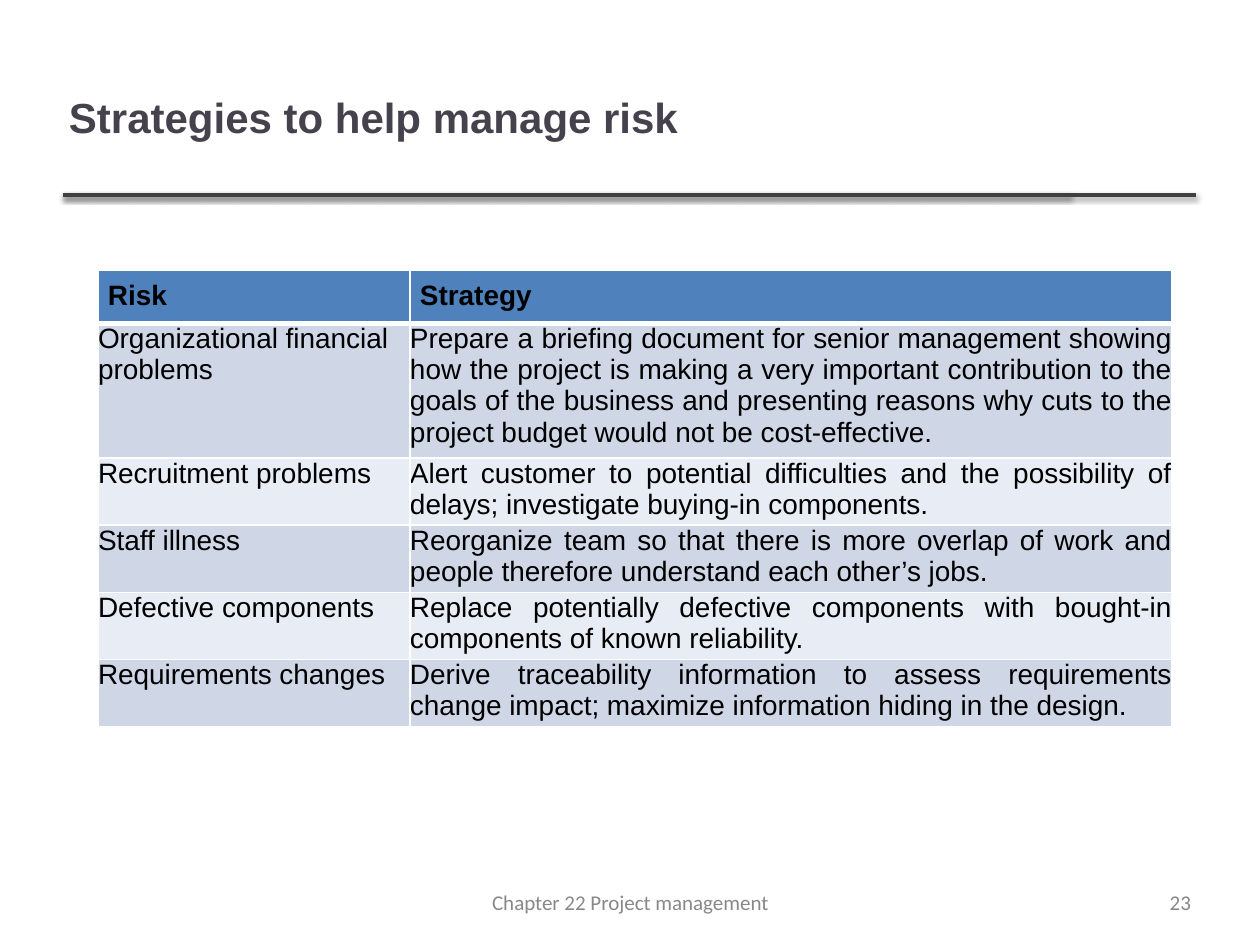
"""Build the slide on strategies that help manage project risk."""

from dataclasses import dataclass

import lxml.etree
import pptx
import pptx.dml.color
import pptx.enum.shapes
import pptx.enum.text
import pptx.oxml.ns
import pptx.util

EMU_PER_PX = 914400 / 126
ALIGN = pptx.enum.text.PP_ALIGN
ANCHOR = pptx.enum.text.MSO_ANCHOR
COLORS = {
    "title": "46424D",
    "footer": "888888",
    "rule": "404040",
    "shadow": "000000",
    "text": "000000",
    "header": "4F81BD",
    "odd": "CFD7E7",
    "even": "E8ECF4",
    "border": "FFFFFF",
}
TITLE_FONT = {"name": "Arial", "size": pptx.util.Pt(24), "bold": True}
FOOTER_FONT = {"name": "Calibri", "size": pptx.util.Pt(12), "bold": False}
HEADER_FONT = {"name": "Arial", "size": pptx.util.Pt(16), "bold": True}
BODY_FONT = {**HEADER_FONT, "bold": False}


@dataclass
class Label:
    text: str
    left: int
    top: int
    width: int
    height: int
    font: dict
    color: str
    alignment: ALIGN
    wrap: bool = True


@dataclass
class Strategy:
    risk: str
    response: str


LABELS = [
    Label("Chapter 22 Project management", 437, 885, 387, 34, FOOTER_FONT, "footer", ALIGN.CENTER),
    Label("Strategies to help manage risk", 63, 38, 1005, 158, TITLE_FONT, "title", ALIGN.LEFT),
    Label("23", 1162, 885, 35, 34, FOOTER_FONT, "footer", ALIGN.RIGHT, wrap=False),
]
RULE_LEFT, RULE_TOP = 63, 195
RULE_ENDS = [1070, 1196]
TABLE_LEFT, TABLE_TOP = 98, 270
COLUMN_WIDTHS = [312, 762]
ROW_HEIGHT = 52
STRATEGIES = [
    Strategy("Risk", "Strategy"),
    Strategy(
        "Organizational financial problems",
        "Prepare a briefing document for senior management showing how the project is "
        "making a very important contribution to the goals of the business and presenting "
        "reasons why cuts to the project budget would not be cost-effective.",
    ),
    Strategy(
        "Recruitment problems",
        "Alert customer to potential difficulties and the possibility of delays; "
        "investigate buying-in components.",
    ),
    Strategy(
        "Staff illness",
        "Reorganize team so that there is more overlap of work and people therefore "
        "understand each other’s jobs.",
    ),
    Strategy(
        "Defective components",
        "Replace potentially defective components with bought-in components of known reliability.",
    ),
    Strategy(
        "Requirements changes",
        "Derive traceability information to assess requirements change impact; "
        "maximize information hiding in the design.",
    ),
]


def px(length: int) -> int:
    """Turn pixels into EMU."""
    return round(length * EMU_PER_PX)


def rgb(name: str) -> pptx.dml.color.RGBColor:
    """Look up a named colour."""
    return pptx.dml.color.RGBColor.from_string(COLORS[name])


def set_values(target, values: dict) -> None:
    """Set each named attribute on the target."""
    for name, value in values.items():
        setattr(target, name, value)


def add_element(parent, tag: str, **attributes: str):
    """Append a DrawingML element to its parent."""
    return lxml.etree.SubElement(parent, pptx.oxml.ns.qn(tag), attributes)


def write_text(text_frame, text: str, font: dict, color: str, alignment: ALIGN) -> None:
    """Write one formatted paragraph."""
    paragraph = text_frame.paragraphs[0]
    paragraph.alignment = alignment
    run = paragraph.add_run()
    run.text = text
    set_values(run.font, font)
    run.font.color.rgb = rgb(color)


def add_label(slide, label: Label) -> None:
    """Draw a text box anchored to its middle."""
    box = [px(length) for length in (label.left, label.top, label.width, label.height)]
    text_frame = slide.shapes.add_textbox(*box).text_frame
    margins = {f"margin_{side}": px(6) for side in ("left", "top", "right", "bottom")}
    set_values(text_frame, {**margins, "word_wrap": label.wrap, "vertical_anchor": ANCHOR.MIDDLE})
    write_text(text_frame, label.text, label.font, label.color, label.alignment)


def add_rule(slide, end: int) -> None:
    """Draw a horizontal rule with a soft shadow below it."""
    rule = slide.shapes.add_connector(
        pptx.enum.shapes.MSO_CONNECTOR.STRAIGHT,
        px(RULE_LEFT), px(RULE_TOP), px(end), px(RULE_TOP),
    )
    rule.line.color.rgb = rgb("rule")
    rule.line.width = pptx.util.Pt(2)
    effects = add_element(rule._element.spPr, "a:effectLst")
    shadow = add_element(
        effects, "a:outerShdw",
        blurRad=str(pptx.util.Pt(3)), dist=str(pptx.util.Pt(1.6)), dir="5400000", rotWithShape="0",
    )
    color = add_element(shadow, "a:srgbClr", val=COLORS["shadow"])
    add_element(color, "a:alpha", val="38000")


def format_cell(cell, fill: str, margin: int, border_widths: dict) -> None:
    """Set the margins, borders and fill of a table cell."""
    set_values(cell, {f"margin_{side}": px(margin) for side in ("left", "top", "right", "bottom")})
    properties = cell._tc.get_or_add_tcPr()
    for side, width in border_widths.items():
        border = add_element(properties, f"a:ln{side}", w=str(pptx.util.Pt(width)))
        solid = add_element(border, "a:solidFill")
        add_element(solid, "a:srgbClr", val=COLORS["border"])
    cell.fill.solid()
    cell.fill.fore_color.rgb = rgb(fill)


def add_strategy_table(slide) -> None:
    """Draw the table of risks and strategies."""
    table = slide.shapes.add_table(
        len(STRATEGIES), len(COLUMN_WIDTHS), px(TABLE_LEFT), px(TABLE_TOP),
        px(sum(COLUMN_WIDTHS)), px(ROW_HEIGHT * len(STRATEGIES)),
    ).table
    for column, width in zip(table.columns, COLUMN_WIDTHS):
        column.width = px(width)
    for index, strategy in enumerate(STRATEGIES):
        table.rows[index].height = px(ROW_HEIGHT)
        is_header = index == 0
        fill = "header" if is_header else "odd" if index % 2 else "even"
        borders = {"L": 1, "R": 1, "T": 3 if index == 1 else 1, "B": 3 if is_header else 1}
        risk_alignment = ALIGN.JUSTIFY if is_header else ALIGN.LEFT
        font = HEADER_FONT if is_header else BODY_FONT
        entries = [(strategy.risk, risk_alignment), (strategy.response, ALIGN.JUSTIFY)]
        for cell, (text, alignment) in zip(table.rows[index].cells, entries):
            format_cell(cell, fill, 10 if is_header else 0, borders)
            write_text(cell.text_frame, text, font, "text", alignment)


def main() -> None:
    """Build and save the presentation."""
    presentation = pptx.Presentation()
    set_values(presentation, {"slide_width": px(1260), "slide_height": px(945)})
    slide = presentation.slides.add_slide(presentation.slide_layouts[6])
    for end in RULE_ENDS:
        add_rule(slide, end)
    for label in LABELS:
        add_label(slide, label)
    add_strategy_table(slide)
    presentation.save("out.pptx")


if __name__ == "__main__":
    main()
